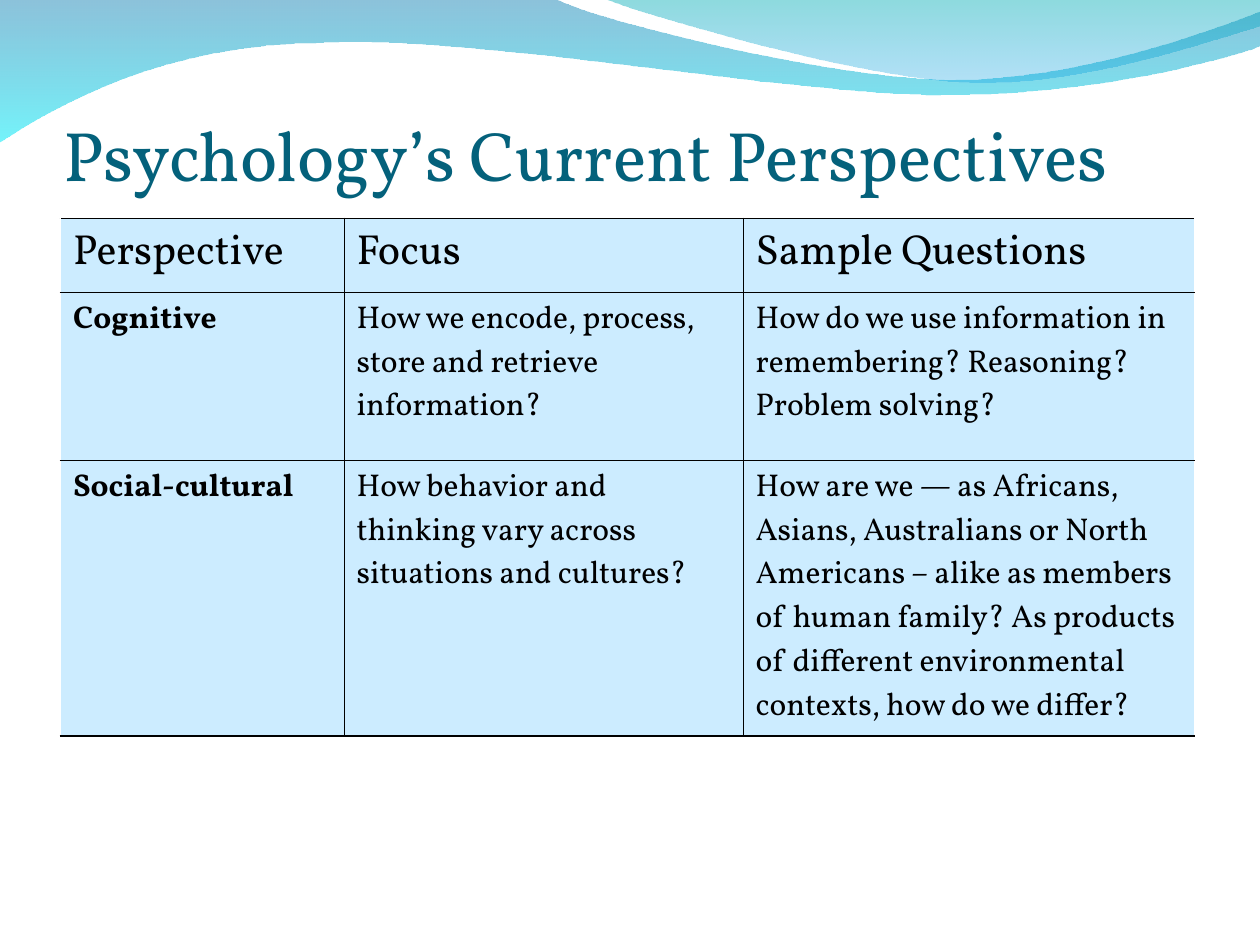
import pptx
import pptx.dml.color
import pptx.enum.text
import pptx.oxml
import pptx.oxml.ns
import pptx.util
from dataclasses import dataclass
from lxml import etree

Pt = pptx.util.Pt
RGB = pptx.dml.color.RGBColor.from_string
qn = pptx.oxml.ns.qn


@dataclass(frozen=True)
class Theme:
    font: str = "Vollkorn"
    title_color: str = "04617B"
    ink: str = "000000"
    cell_fill: str = "CCECFF"
    left_wave: tuple = (("0079AF", 45), ("00EBF8", 55))
    right_wave: tuple = (("00ADB6", 45), ("009BE5", 30))
    title_size: float = 40
    header_size: float = 24
    body_size: float = 18
    outer_line: float = 1.08
    inner_line: float = 0.45


LEFT_WAVE = [
    (0, -0.72), (316.8, -0.72),
    (342.72, 12.24, 478.08, 45.36, 545.76, 45.36),
    (614.16, 45.36, 689.76, 18.72, 720, 6.48),
    (720.72, 25.92),
    (707.76, 31.68, 626.4, 54.72, 537.12, 54),
    (447.84, 54, 275.04, 20.16, 185.04, 24.48),
    (92.88, 25.2, 33.12, 59.76, -0.72, 81.36),
    (0, -0.72),
]
RIGHT_WAVE = [
    (344.88, -0.72),
    (366.48, 7.92, 491.04, 44.64, 553.68, 46.8),
    (616.32, 49.68, 691.92, 23.04, 720, 15.12),
    (720, 0), (344.88, -0.72),
]
ROWS = [
    ("Perspective", "Focus", "Sample Questions"),
    ("Cognitive", "How we encode, process, store and retrieve information?",
     "How do we use information in remembering? Reasoning? Problem solving?"),
    ("Social-cultural", "How behavior and thinking vary across situations and cultures?",
     "How are we — as Africans, Asians, Australians or North Americans – alike as members "
     "of human family? As products of different environmental contexts, how do we differ?"),
]


class Deck:
    """Holds the theme and the current slide and draws elements on it."""

    def __init__(self, prs, theme):
        self.theme = theme
        self.s = prs.slides.add_slide(prs.slide_layouts[5])

    def style(self, tf, size, color, bold=False):
        for p in tf.paragraphs:
            p.alignment = pptx.enum.text.PP_ALIGN.LEFT
            for r in p.runs:
                r.font.name = self.theme.font
                r.font.size = Pt(size)
                r.font.bold = bold
                r.font.color.rgb = RGB(color)

    def curve(self, sp, segments):
        lines = iter(list(sp._element.iter(qn("a:lnTo"))))
        for seg in segments[1:]:
            group = [next(lines) for _ in range(len(seg) // 2)]
            if len(group) == 3:
                bezier = etree.Element(qn("a:cubicBezTo"))
                group[0].addprevious(bezier)
                for line in group:
                    bezier.append(line[0])
                    line.getparent().remove(line)

    def wave(self, segments, stops):
        points = [(Pt(x), Pt(y)) for seg in segments for x, y in zip(seg[::2], seg[1::2])]
        builder = self.s.shapes.build_freeform(*points[0], scale=1.0)
        builder.add_line_segments(points[1:], close=True)
        sp = builder.convert_to_shape()
        self.curve(sp, segments)
        sp.shadow.inherit = False
        sp.line.fill.background()
        sp.fill.gradient()
        sp.fill.gradient_angle = 270
        for stop, position, (color, _) in zip(sp.fill.gradient_stops, (0, 1), stops):
            stop.position = position
            stop.color.rgb = RGB(color)
        colors = sp._element.spPr.iter(qn("a:srgbClr"))
        for clr, (_, opacity) in zip(list(colors), stops):
            etree.SubElement(clr, qn("a:alpha"), val=str(opacity * 1000))

    def title(self, text, left, top, width, height):
        sp = self.s.shapes.title
        self.s.shapes._spTree.append(sp._element)
        sp.left, sp.top, sp.width, sp.height = map(Pt, (left, top, width, height))
        tf = sp.text_frame
        tf.text = text
        tf.word_wrap = True
        tf.auto_size = pptx.enum.text.MSO_AUTO_SIZE.NONE
        tf.vertical_anchor = pptx.enum.text.MSO_ANCHOR.BOTTOM
        tf.margin_left = tf.margin_right = tf.margin_bottom = 0
        tf.margin_top = Pt(3.6)
        self.style(tf, self.theme.title_size, self.theme.title_color)

    def borders(self, cell, widths):
        tc_pr = cell._tc.get_or_add_tcPr()
        for i, (side, width) in enumerate(zip("LRTB", widths)):
            if not width:
                continue
            ln = etree.Element(qn(f"a:ln{side}"), w=str(int(Pt(width))))
            fill = etree.SubElement(ln, qn("a:solidFill"))
            etree.SubElement(fill, qn("a:srgbClr"), val=self.theme.ink)
            tc_pr.insert(tc_pr.index(tc_pr.find(qn("a:solidFill"))), ln)

    def table(self, rows, left, top, widths, heights):
        th = self.theme
        frame = self.s.shapes.add_table(len(rows), len(widths), Pt(left), Pt(top),
                                        Pt(sum(widths)), Pt(sum(heights)))
        table = frame.table
        table.first_row = table.horz_banding = False
        for column, width in zip(table.columns, widths):
            column.width = Pt(width)
        for row, height in zip(table.rows, heights):
            row.height = Pt(height)
        last_row, last_col = len(rows) - 1, len(widths) - 1
        for i, row in enumerate(rows):
            for j, text in enumerate(row):
                cell = table.cell(i, j)
                cell.text_frame.text = text
                cell.fill.solid()
                cell.fill.fore_color.rgb = RGB(th.cell_fill)
                self.style(cell.text_frame, th.body_size if i else th.header_size,
                           th.ink, bold=i > 0 and j == 0)
                self.borders(cell, (
                    th.inner_line if j else 0,
                    th.inner_line if j < last_col else 0,
                    th.inner_line if i else th.outer_line,
                    th.inner_line if i < last_row else th.outer_line))


def main():
    prs = pptx.Presentation()
    prs.slide_width, prs.slide_height = Pt(720), Pt(540)
    theme = Theme()
    deck = Deck(prs, theme)
    deck.wave(LEFT_WAVE, theme.left_wave)
    deck.wave(RIGHT_WAVE, theme.right_wave)
    deck.title("Psychology’s Current Perspectives", 36, 21.6, 648, 90)
    deck.table(ROWS, 34.56, 124.8, (162, 228, 258), (42, 96, 137))
    prs.save("out.pptx")


if __name__ == "__main__":
    main()
